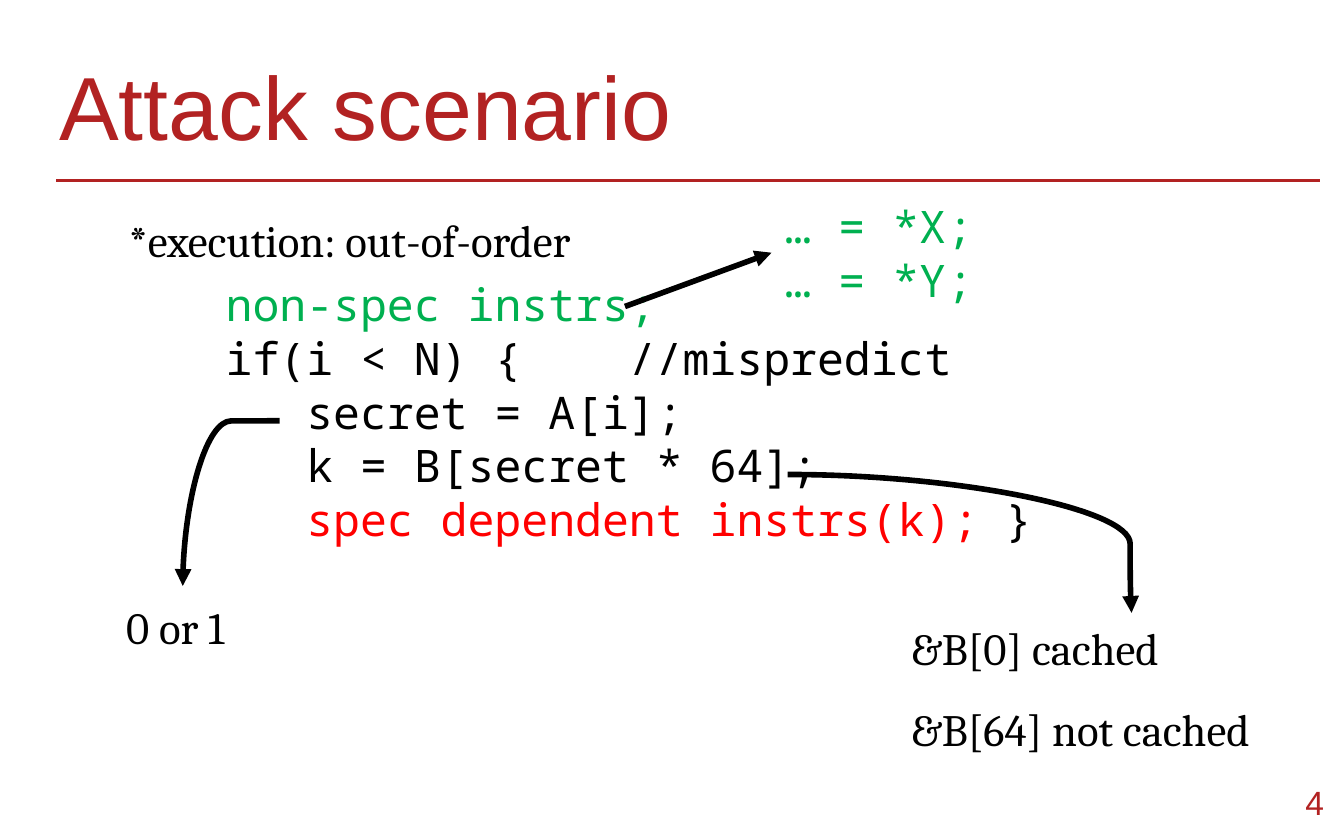
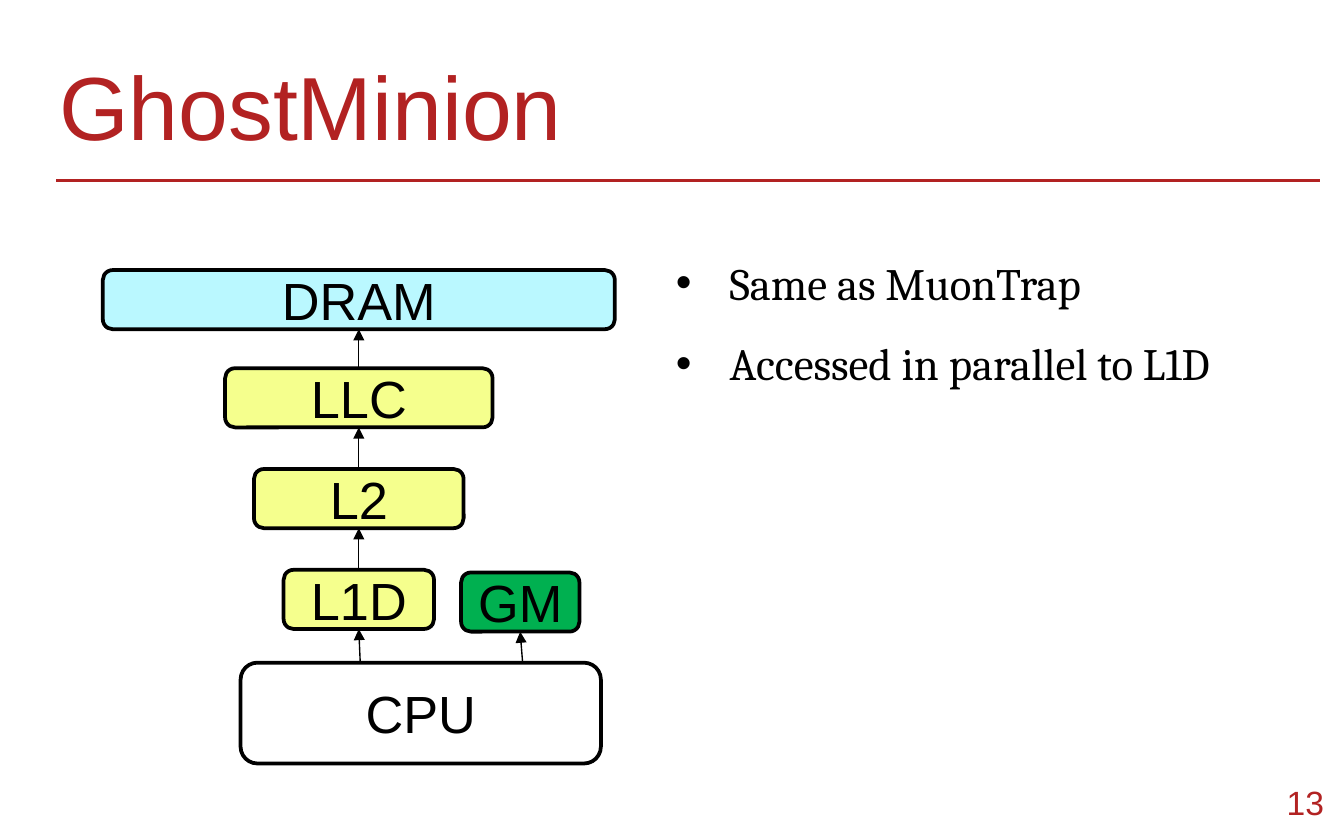
from lxml import etree
from pptx import Presentation
from pptx.dml.color import RGBColor
from pptx.enum.shapes import MSO_CONNECTOR as LINK, MSO_SHAPE as SHAPE
from pptx.enum.text import MSO_ANCHOR as ANCHOR, MSO_AUTO_SIZE as FIT, PP_ALIGN as ALIGN
from pptx.oxml.ns import qn
from pptx.util import Pt

FIREBRICK = RGBColor(0xB2, 0x22, 0x22)
BLACK = RGBColor(0, 0, 0)
WHITE = RGBColor(0xFF, 0xFF, 0xFF)
GREEN = RGBColor(0x00, 0xB0, 0x50)
RED = RGBColor(0xFF, 0, 0)
YELLOW = RGBColor(0xF5, 0xFF, 0x8D)
CYAN = RGBColor(0xBA, 0xF8, 0xFF)
SANS, SERIF, MONO = "Arial", "Cambria", "Noto Sans Mono"

# Attack scenario: each paragraph is a list of (text, colour) spans
CODE = [
    [("non-spec instrs;", GREEN)],
    [("if(i < N) {\t\t//mispredict", BLACK)],
    [("   secret = A[i];", BLACK)],
    [("   k = B[secret * 64];", BLACK)],
    [("   ", BLACK), ("spec dependent instrs(k); ", RED), ("}", BLACK)],
]
LOADS = [[("… = *X;", GREEN)], [("… = *Y;", GREEN)]]
CODE_BOXES = [
    (CODE, (113.8, 144.7, 492.5, 152.6)),
    (LOADS, (413.3, 103, 118.8, 65.5)),
]
NOTES = [
    (["*execution: out-of-order"], (54.7, 92.2, 347.8, 58.3)),
    (["0 or 1"], (53.3, 299.5, 84.2, 58.3)),
    (["&B[0] cached", "&B[64] not cached"], (473.8, 311, 242.6, 101.5)),
]

# GhostMinion: memory levels from top to bottom, centred on one axis
AXIS = 192.24
LEVEL_HEIGHT = 31.7
LEVELS = [  # name, top, width, fill
    ("DRAM", 144.7, 274.3, CYAN),
    ("LLC", 197.3, 143.3, YELLOW),
    ("L2", 251.3, 112.3, YELLOW),
    ("L1D", 305.3, 80.6, YELLOW),
]
POINTS = ["Same as MuonTrap", "Accessed in parallel to L1D"]


def write(frame, lines, size=24, font=SERIF, color=BLACK, align=ALIGN.LEFT,
          anchor=ANCHOR.TOP, inset=(7.2, 7.2), spacing=None, margin=0,
          indent=0, bullet=None, fit=FIT.NONE):
    """Fill a text frame; a line is a string or a list of (text, colour)."""
    frame.word_wrap = True
    frame.auto_size = fit
    frame.vertical_anchor = anchor
    frame.margin_left = frame.margin_right = Pt(inset[0])
    frame.margin_top = frame.margin_bottom = Pt(inset[1])
    for index, line in enumerate(lines):
        para = frame.add_paragraph() if index else frame.paragraphs[0]
        props = para._p.get_or_add_pPr()
        props.set("marL", str(Pt(margin)))
        props.set("indent", str(Pt(indent)))
        if bullet:
            tint = etree.SubElement(props, qn("a:buClr"))
            etree.SubElement(tint, qn("a:srgbClr"), val=str(color))
            etree.SubElement(props, qn("a:buFont"), typeface=SANS)
            etree.SubElement(props, qn("a:buChar"), char=bullet)
        para.alignment = align
        if spacing:
            para.line_spacing = spacing
        for text, tone in [(line, color)] if isinstance(line, str) else line:
            span = para.add_run()
            span.text = text
            span.font.size = Pt(size)
            span.font.name = font
            span.font.color.rgb = tone


def add_text(page, lines, place, **style):
    box = page.shapes.add_textbox(*map(Pt, place))
    write(box.text_frame, lines, **style)


def add_line(page, start, end, width, color=BLACK, kind=LINK.STRAIGHT, arrow=True):
    line = page.shapes.add_connector(kind, *map(Pt, start + end))
    line.line.width = Pt(width)
    line.line.color.rgb = color
    if arrow:
        etree.SubElement(line.line._get_or_add_ln(), qn("a:tailEnd"), type="triangle")
    etree.SubElement(line._element.spPr, qn("a:effectLst"))
    return line


def add_curve(page, start, end, bend, quarter_turn=False):
    """Draw a curved arrow; bend is in thousandths of a percent."""
    if quarter_turn:
        mid_x, mid_y = (start[0] + end[0]) / 2, (start[1] + end[1]) / 2
        half_x, half_y = abs(end[0] - start[0]) / 2, abs(end[1] - start[1]) / 2
        start = (mid_x - half_y, mid_y - half_x)
        end = (mid_x + half_y, mid_y + half_x)
    curve = add_line(page, start, end, 3, kind=LINK.CURVE)
    props = curve._element.spPr
    if quarter_turn:
        props.find(qn("a:xfrm")).set("rot", str(90 * 60000))
    guides = props.find(qn("a:prstGeom")).find(qn("a:avLst"))
    etree.SubElement(guides, qn("a:gd"), name="adj1", fmla=f"val {bend}")


def add_block(page, name, place, fill):
    block = page.shapes.add_shape(SHAPE.ROUNDED_RECTANGLE, *map(Pt, place))
    block.shadow.inherit = False
    block.fill.solid()
    block.fill.fore_color.rgb = fill
    block.line.color.rgb = BLACK
    block.line.width = Pt(2)
    write(block.text_frame, [name], size=28, font=SANS, align=ALIGN.CENTER,
          anchor=ANCHOR.MIDDLE, inset=(7.2, 3.6))
    return block


def add_page(deck, title, number):
    page = deck.slides.add_slide(deck.slide_layouts[5])
    add_line(page, (30.2, 96.5), (707, 96.5), 1.5, FIREBRICK, arrow=False)
    head = page.shapes.title
    head.left, head.top, head.width, head.height = map(Pt, (24.5, 20.2, 671, 50.4))
    write(head.text_frame, [title], size=48, font=SANS, color=FIREBRICK)
    add_text(page, [number], (666, 412.6, 50.4, 34.6), size=18, font=SANS,
             color=FIREBRICK, align=ALIGN.RIGHT, anchor=ANCHOR.MIDDLE)
    return page


def build_attack(deck):
    page = add_page(deck, "Attack scenario", "4")
    for lines, place in CODE_BOXES:
        add_text(page, lines, place, font=MONO, inset=(7.2, 3.6), fit=FIT.SHAPE_TO_FIT_TEXT)
    for lines, place in NOTES:
        add_text(page, lines, place, spacing=1.5, margin=7.2, fit=FIT.SHAPE_TO_FIT_TEXT)
    # Arrows from the code to its effects
    add_line(page, (334.8, 164.2), (413.3, 135.4), 3)
    add_curve(page, (149.8, 225.4), (97.9, 313.9), 100, quarter_turn=True)
    add_curve(page, (421.9, 254.2), (606.2, 328.3), 99600)


def build_ghostminion(deck):
    page = add_page(deck, "GhostMinion", "13")
    # Memory levels, each linked to the one above
    blocks = [add_block(page, name, (AXIS - width / 2, top, width, LEVEL_HEIGHT), fill)
              for name, top, width, fill in LEVELS]
    for upper, lower in zip(blocks, blocks[1:]):
        link = add_line(page, (AXIS, 0), (AXIS, 0), 0.75)
        link.begin_connect(lower, 0)
        link.end_connect(upper, 2)
    # Processor, feeding the first level and the side buffer in parallel
    cpu_top = 355
    add_block(page, "CPU", (128.9, cpu_top, 193, 54), WHITE)
    minion = add_block(page, "GM", (247, 306.7, 63.4, LEVEL_HEIGHT), GREEN)
    for target, start_x in ((blocks[-1], 193), (minion, 280)):
        link = add_line(page, (start_x, cpu_top), (start_x, cpu_top), 0.75)
        link.end_connect(target, 2)
    add_text(page, POINTS, (347.8, 115.2, 347.8, 145.4), spacing=1.5, margin=36,
             indent=-28.8, bullet="•", fit=FIT.SHAPE_TO_FIT_TEXT)


def main():
    deck = Presentation()
    deck.slide_width, deck.slide_height = Pt(720), Pt(450)
    build_attack(deck)
    build_ghostminion(deck)
    deck.save("out.pptx")


if __name__ == "__main__":
    main()
